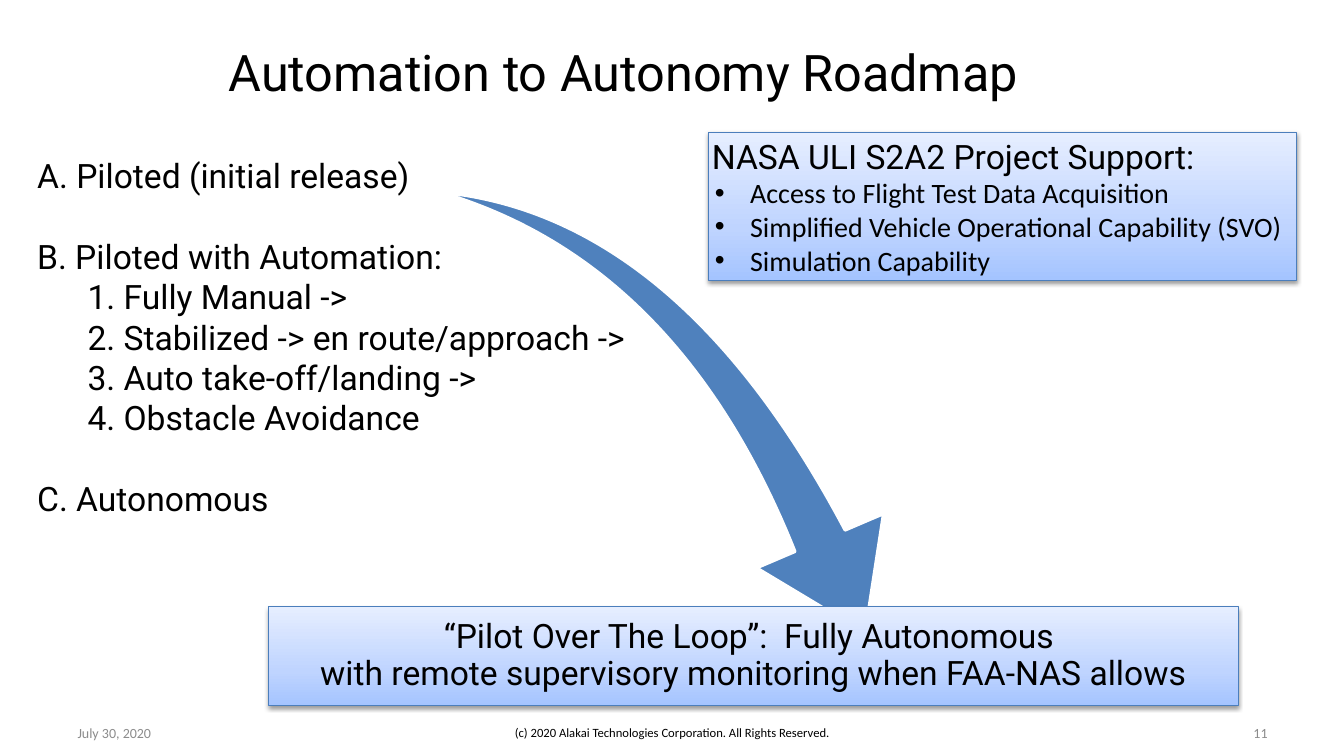
"""Build the roadmap slide from automation to autonomy."""
from copy import deepcopy

from lxml.etree import SubElement
from pptx import Presentation
from pptx.dml.color import RGBColor
from pptx.enum.shapes import MSO_SHAPE
from pptx.enum.text import MSO_ANCHOR, PP_ALIGN
from pptx.oxml.ns import qn
from pptx.util import Inches, Pt

BLACK = RGBColor(0, 0, 0)
GREY = RGBColor(0x8C, 0x8C, 0x8C)
WHITE = RGBColor(255, 255, 255)
BLUE = RGBColor(0x4F, 0x81, 0xBD)
EDGE = RGBColor(0x4B, 0x7E, 0xBC)
SHADES = [
    (0, RGBColor(0xA4, 0xC4, 0xFF)),
    (0.35, RGBColor(0xBF, 0xD4, 0xFF)),
    (1, RGBColor(0xE6, 0xEE, 0xFF)),
]
HEAD, BODY = "Roboto", "Calibri"
LEFT, MID, RIGHT = PP_ALIGN.LEFT, PP_ALIGN.CENTER, PP_ALIGN.RIGHT

TITLE = "Automation to Autonomy Roadmap"
STAGES = [
    ("A. Piloted (initial release)", []),
    ("B. Piloted with Automation:", [
        "1. Fully Manual ->",
        "2. Stabilized -> en route/approach ->",
        "3. Auto take-off/landing ->",
        "4. Obstacle Avoidance",
    ]),
    ("C. Autonomous", []),
]
SUPPORT = "NASA ULI S2A2 Project Support:"
HELP = [
    "Access to Flight Test Data Acquisition",
    "Simplified Vehicle Operational Capability (SVO)",
    "Simulation Capability",
]
GOAL = [
    "“Pilot Over The Loop”:  Fully Autonomous ",
    "with remote supervisory monitoring when FAA-NAS allows",
]
FOOT = [
    ("July 30, 2020", 5.03, 23.33, LEFT, 10, GREY),
    ("(c) 2020 Alakai Technologies Corporation. All Rights Reserved.",
     20.26, 59.49, MID, 9, BLACK),
    ("11", 71.72, 23.33, RIGHT, 10, GREY),
]
AREAS = {
    "title": (13.05, 4.67, 66.69, 9.47),
    "stages": (2.03, 19.87, 48.39, 49.87),
    "swoosh": (30.23, 31.73, 40.44, 43.73),
    "goal": (19.95, 80.27, 72.17, 13.07),
    "support": (52.74, 17.47, 43.74, 19.6),
}

deck = Presentation()
deck.slide_width, deck.slide_height = Inches(13.33), Inches(7.5)
slide = deck.slides.add_slide(deck.slide_layouts[5])
shapes = slide.shapes


def place(area):
    """Turn percent shares of the slide into lengths."""
    sides = (deck.slide_width, deck.slide_height) * 2
    return [int(side * share / 100) for side, share in zip(sides, area)]


def write(para, text, size, face, color=BLACK, align=LEFT):
    """Add one styled run to a paragraph."""
    para.alignment = align
    run = para.add_run()
    run.text = text
    run.font.size, run.font.name = Pt(size), face
    run.font.color.rgb = color


def indent(para, left, first=0, bullet=None):
    """Set the margins of a paragraph and its bullet, if any."""
    props = para._p.get_or_add_pPr()
    props.set("marL", str(Inches(left)))
    props.set("indent", str(Inches(first)))
    if bullet:
        SubElement(props, qn("a:buFont"), typeface="Arial")
        SubElement(props, qn("a:buChar"), char=bullet)


def add_text(area):
    """Add an empty wrapping text box and return its frame."""
    frame = shapes.add_textbox(*place(area)).text_frame
    frame.word_wrap = True
    return frame


def add_panel(area):
    """Add a shaded rectangle with a soft shadow and return its frame."""
    panel = shapes.add_shape(MSO_SHAPE.RECTANGLE, *place(area))
    panel.line.color.rgb, panel.line.width = EDGE, Pt(0.75)
    panel.fill.gradient()
    panel.fill.gradient_angle = 90
    props = panel._element.spPr
    stops = props.find(".//" + qn("a:gsLst"))
    stops.append(deepcopy(stops[0]))
    for stop, (spot, color) in zip(panel.fill.gradient_stops, SHADES):
        stop.position, stop.color.rgb = spot, color
    panel.shadow.inherit = False
    shade = SubElement(props.find(qn("a:effectLst")), qn("a:outerShdw"),
                       blurRad="40000", dist="20000", dir="5400000",
                       rotWithShape="0")
    tone = SubElement(shade, qn("a:srgbClr"), val="000000")
    SubElement(tone, qn("a:alpha"), val="38000")
    frame = panel.text_frame
    frame.word_wrap, frame.vertical_anchor = True, MSO_ANCHOR.MIDDLE
    frame.margin_left = frame.margin_right = Inches(0.03)
    frame.margin_top = frame.margin_bottom = Inches(0.03)
    return frame


def main():
    """Lay out the slide and save it."""
    title = shapes.title
    title.left, title.top, title.width, title.height = place(AREAS["title"])
    title.text_frame.vertical_anchor = MSO_ANCHOR.MIDDLE
    write(title.text_frame.paragraphs[0], TITLE, 36, HEAD, align=MID)

    swoosh = shapes.add_shape(MSO_SHAPE.SWOOSH_ARROW, *place(AREAS["swoosh"]))
    swoosh.rotation = 73.3
    swoosh.adjustments[0], swoosh.adjustments[1] = 0.163, 0.314
    swoosh.shadow.inherit = False
    swoosh.fill.solid()
    swoosh.fill.fore_color.rgb = BLUE
    swoosh.line.color.rgb, swoosh.line.width = WHITE, Pt(2)

    para = add_panel(AREAS["goal"]).paragraphs[0]
    para.line_spacing = 0.9
    for row, text in enumerate(GOAL):
        if row:
            para.add_line_break()
        write(para, text, 24, HEAD, align=MID)

    frame = add_panel(AREAS["support"])
    write(frame.paragraphs[0], SUPPORT, 24, HEAD)
    for text in HELP:
        para = frame.add_paragraph()
        indent(para, 0.38, -0.35, "•")
        write(para, text, 20, BODY)

    frame = add_text(AREAS["stages"])
    for row, (stage, steps) in enumerate(STAGES):
        para = frame.add_paragraph() if row else frame.paragraphs[0]
        if row:
            para.space_before = Pt(28.8)
        write(para, stage, 24, HEAD)
        for step in steps:
            para = frame.add_paragraph()
            indent(para, 0.5)
            write(para, step, 24, HEAD)

    for text, left, width, align, size, color in FOOT:
        frame = add_text((left, 94.27, width, 5.33))
        frame.vertical_anchor = MSO_ANCHOR.MIDDLE
        write(frame.paragraphs[0], text, size, BODY, color, align)

    deck.save("out.pptx")


if __name__ == "__main__":
    main()
